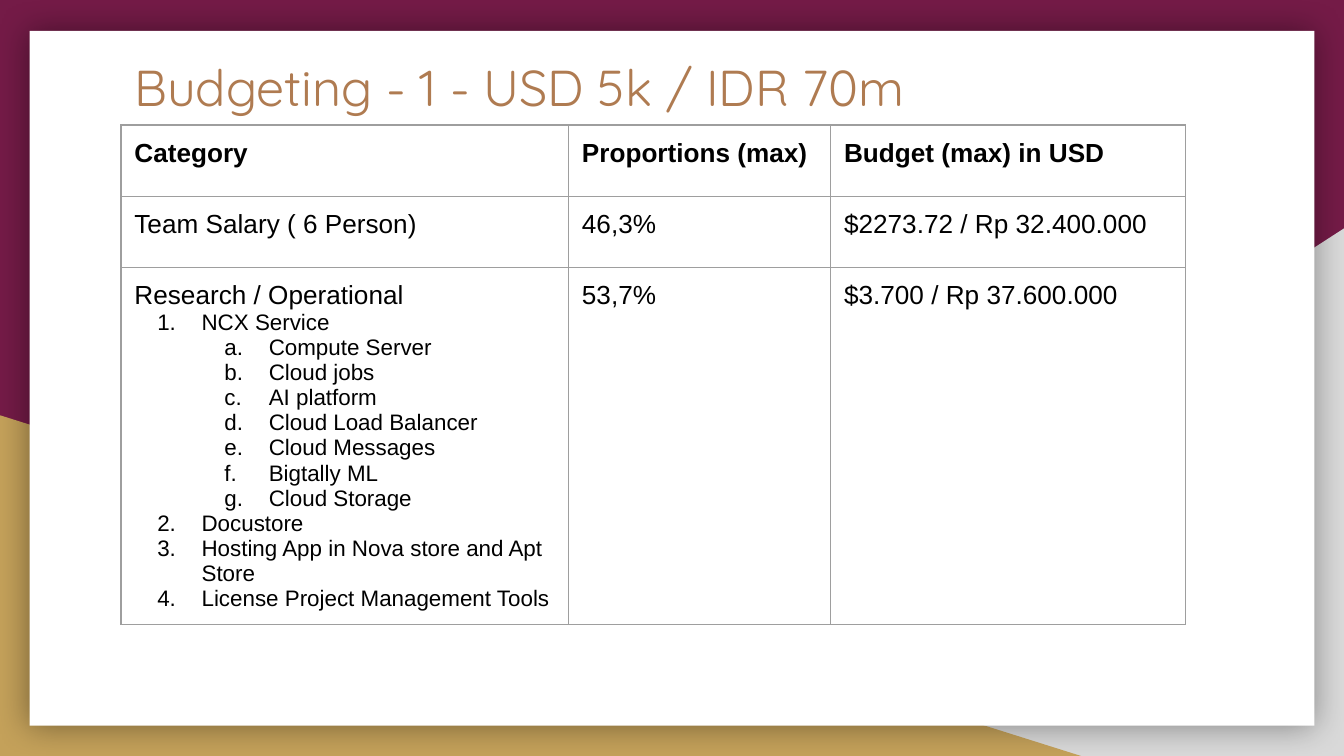
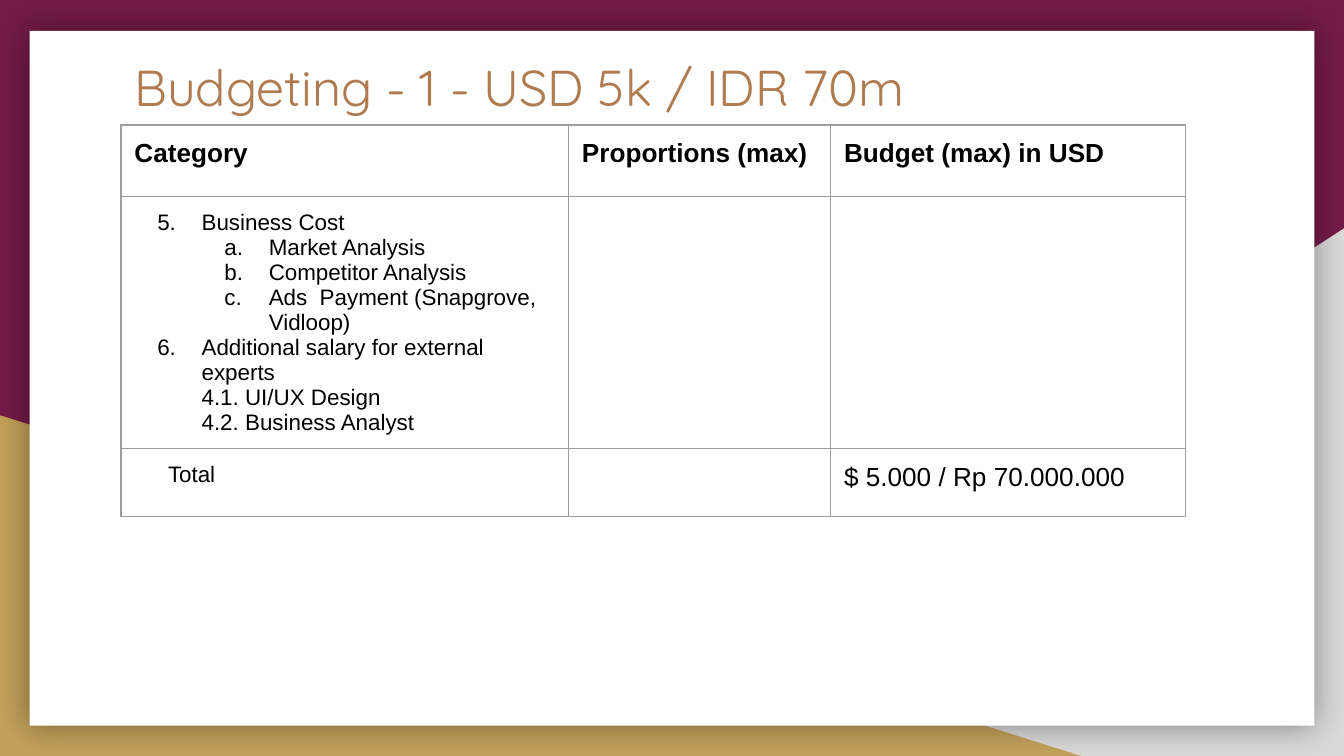
from lxml.etree import SubElement
from pptx import Presentation
from pptx.dml.color import RGBColor
from pptx.enum.shapes import MSO_SHAPE as Form
from pptx.enum.text import MSO_ANCHOR as Anchor, MSO_AUTO_SIZE as Fit, PP_ALIGN as Align
from pptx.oxml import parse_xml
from pptx.oxml.ns import nsdecls, qn
from pptx.util import Inches, Pt

PLUM = RGBColor(0x74, 0x1B, 0x47)
GOLD = RGBColor(0xC4, 0xA1, 0x5A)
SILVER = RGBColor(0xD9, 0xD9, 0xD9)
WHITE = RGBColor(0xFF, 0xFF, 0xFF)
BRONZE = RGBColor(0xAF, 0x7B, 0x51)
BLACK = RGBColor(0, 0, 0)
GREY = RGBColor(0x9E, 0x9E, 0x9E)

TITLE = "Budgeting - 1 - USD 5k / IDR 70m"
HEAD = ["Category", "Proportions (max)", "Budget (max) in USD"]
COLS = [3.33, 1.95, 2.64]
PLAIN_GRID = "{2D5ABB26-0587-4C30-8999-92F81FD0307C}"


def write(para, text, size=14, font="Arial", color=BLACK, bold=False,
          left=0, hang=0, level=0, mark=None, start=1):
    """Fill a paragraph; mark is an auto-number scheme such as arabicPeriod."""
    para.text = text
    para.alignment = Align.LEFT
    para.level = level
    for run in para.runs:
        run.font.size = Pt(size)
        run.font.name = font
        run.font.bold = bold
        run.font.color.rgb = color
    for br in para._p.findall(qn("a:br")):
        SubElement(br, qn("a:rPr"), sz=str(size * 100))
    props = para._p.get_or_add_pPr()
    props.set("marL", str(Inches(left)))
    props.set("indent", str(Inches(-hang)))
    if mark:
        tint = SubElement(props, qn("a:buClr"))
        SubElement(tint, qn("a:srgbClr"), val=str(color))
        num = SubElement(props, qn("a:buAutoNum"), type=mark)
        if start > 1:
            num.set("startAt", str(start))


def item(text, start=1):
    return dict(text=text, size=12, left=0.5, hang=0.33, mark="arabicPeriod", start=start)


def sub(text):
    return dict(text=text, size=12, left=1, hang=0.33, level=1, mark="alphaLcPeriod")


class Deck:
    def __init__(self):
        self.prs = Presentation()
        self.prs.slide_width, self.prs.slide_height = Inches(10), Inches(5.625)
        self.layout = self.prs.slide_layouts[5]
        self.page = None

    def shape(self, form, x, y, w, h, color):
        box = self.page.shapes.add_shape(form, Inches(x), Inches(y), Inches(w), Inches(h))
        box.shadow.inherit = False
        box.fill.solid()
        box.fill.fore_color.rgb = color
        box.line.fill.background()
        return box

    def frame(self):
        """Put the backdrop on the layout, so that every slide shares it."""
        fill = self.layout.background.fill
        fill.solid()
        fill.fore_color.rgb = PLUM
        right = self.shape(Form.RIGHT_TRIANGLE, 3.92, 1.7, 6.08, 3.93, SILVER)
        right._element.spPr.find(qn("a:xfrm")).set("flipH", "1")
        left = self.shape(Form.RIGHT_TRIANGLE, 0, 3.09, 8.06, 2.54, GOLD)
        card = self.shape(Form.RECTANGLE, 0.22, 0.23, 9.56, 5.17, WHITE)
        glow = SubElement(card._element.spPr.find(qn("a:effectLst")), qn("a:outerShdw"),
                          blurRad=str(Pt(18)), dist="0", dir="0", rotWithShape="0")
        tint = SubElement(glow, qn("a:srgbClr"), val=str(BLACK))
        SubElement(tint, qn("a:alpha"), val="40000")
        for part in (right, left, card):
            self.layout.shapes._spTree.append(part._element)

    def slide(self, title):
        first = self.page is None
        self.page = self.prs.slides.add_slide(self.layout)
        if first:
            self.frame()
        box = self.page.shapes.title
        box.left, box.top, box.width, box.height = map(Inches, (0.9, 0.32, 8.21, 0.62))
        text = box.text_frame
        text.margin_left = text.margin_right = Inches(0.1)
        text.margin_top = text.margin_bottom = Inches(0.1)
        text.vertical_anchor = Anchor.TOP
        text.auto_size = Fit.NONE
        text.word_wrap = True
        write(text.paragraphs[0], title, size=27, font="Quicksand", color=BRONZE)

    def cell(self, cell, lines):
        cell.margin_left = cell.margin_right = Inches(0.1)
        cell.margin_top = cell.margin_bottom = Inches(0.1)
        cell.fill.background()
        for i, side in enumerate(("lnL", "lnR", "lnT", "lnB")):
            cell._tc.tcPr.insert(i, parse_xml(
                f'<a:{side} {nsdecls("a")} w="{Pt(0.75)}"><a:solidFill>'
                f'<a:srgbClr val="{GREY}"/></a:solidFill></a:{side}>'))
        text = cell.text_frame
        for i, line in enumerate(lines):
            write(text.add_paragraph() if i else text.paragraphs[0], **line)

    def table(self, rows, highs):
        rows = [[[dict(text=name, bold=True)] for name in HEAD]] + rows
        grid = self.page.shapes.add_table(
            len(rows), len(COLS), Inches(0.9), Inches(0.93),
            Inches(sum(COLS)), Inches(sum(highs))).table
        grid.first_row = grid.horz_banding = False
        grid._tbl.tblPr.find(qn("a:tableStyleId")).text = PLAIN_GRID
        for col, wide in zip(grid.columns, COLS):
            col.width = Inches(wide)
        for row, high, data in zip(grid.rows, highs, rows):
            row.height = Inches(high)
            for cell, lines in zip(row.cells, data):
                self.cell(cell, lines)


def main():
    deck = Deck()

    deck.slide(TITLE)
    costs = [
        dict(text="Research / Operational"),
        item("NCX Service"),
        sub("Compute Server"),
        sub("Cloud jobs"),
        sub("AI platform"),
        sub("Cloud Load Balancer"),
        sub("Cloud Messages"),
        sub("Bigtally ML"),
        sub("Cloud Storage"),
        item("Docustore"),
        item("Hosting App in Nova store and Apt Store"),
        item("License Project Management Tools"),
    ]
    deck.table([
        [[dict(text="Team Salary ( 6 Person)")], [dict(text="46,3%")],
         [dict(text="$2273.72 / Rp 32.400.000")]],
        [costs, [dict(text="53,7%")], [dict(text="$3.700 / Rp 37.600.000")]],
    ], [0.53, 0.53, 0.82])

    deck.slide(TITLE)
    costs = [
        item("Business Cost", 5),
        sub("Market Analysis"),
        sub("Competitor Analysis"),
        sub("Ads  Payment (Snapgrove, Vidloop)"),
        item("Additional salary for external experts \n"
             "4.1. UI/UX Design \n4.2. Business Analyst", 5),
    ]
    total = dict(text="Total", size=12, left=0.5, hang=0.25)
    deck.table([
        [costs, [], []],
        [[total], [], [dict(text="$ 5.000 / Rp 70.000.000")]],
    ], [0.53, 0.82, 0.42])

    deck.prs.save("out.pptx")


if __name__ == "__main__":
    main()
